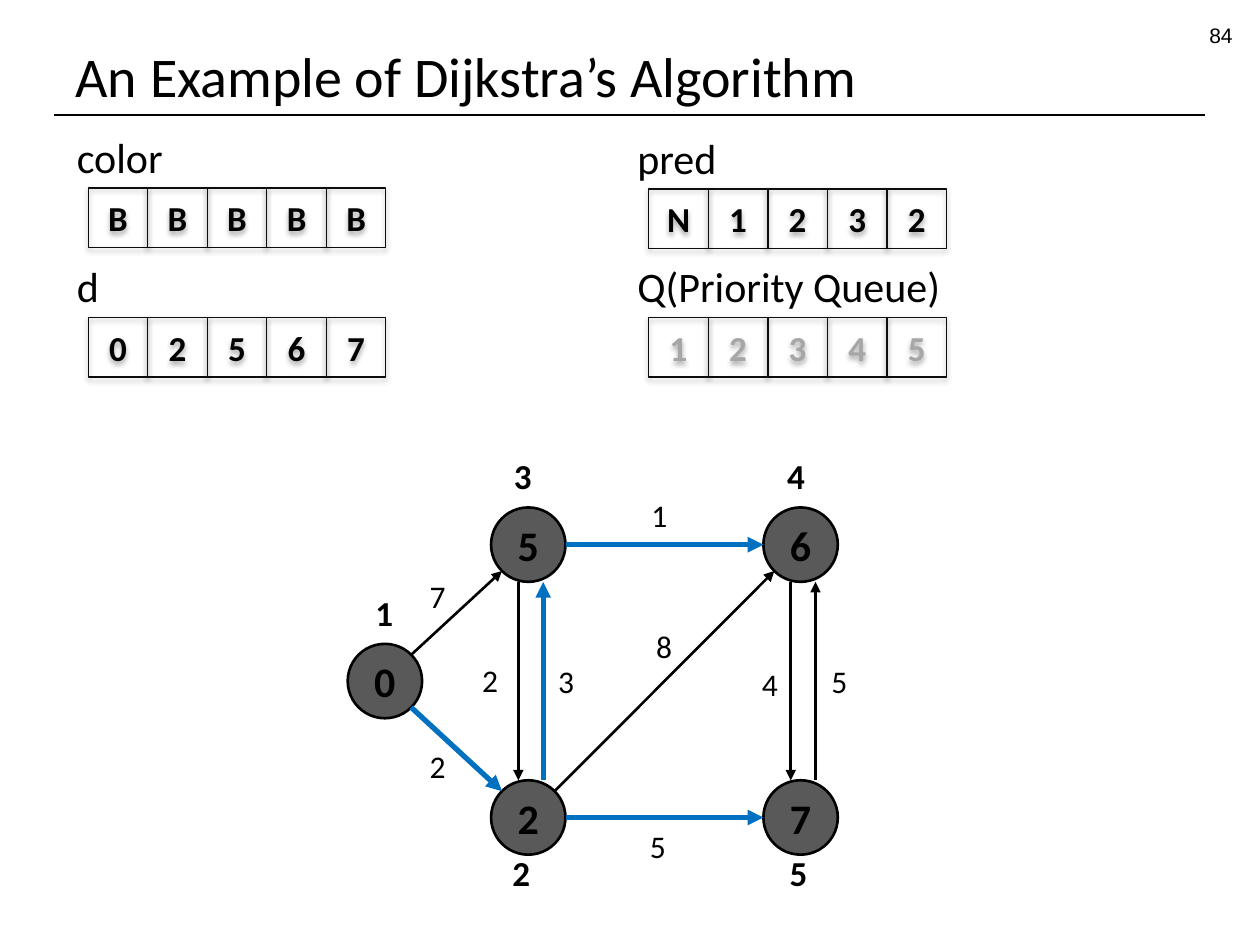
from lxml import etree
from pptx import Presentation
from pptx.dml.color import RGBColor
from pptx.enum import shapes, text
from pptx.oxml.ns import qn
from pptx.util import Cm, Pt

BLACK, NEAR_BLACK, GREY, DARK, BLUE = "000000", "0D0D0D", "A6A6A6", "595959", "0070C0"

TITLE = "An Example of Dijkstra’s Algorithm"
PAGE = "84"

# label, label width, cell values, left and top of the first cell (cm), text colour
ARRAYS = [
    ("color", 2.27, "BBBBB", 1.78, 3.79, BLACK),
    ("d", 0.97, "02567", 1.78, 6.4, BLACK),
    ("pred", 2.14, "N1232", 13.08, 3.81, BLACK),
    ("Q(Priority Queue)", 6.68, "12345", 13.08, 6.4, GREY),
]
CELL = 1.2

# vertex: centre (cm), distance, left and top of its name
VERTICES = {
    "1": ((7.76, 13.73), "0", (7.32, 11.79)),
    "2": ((10.65, 16.48), "2", (10.08, 17.04)),
    "3": ((10.65, 10.98), "5", (10.11, 9.04)),
    "4": ((16.14, 10.98), "6", (15.62, 9.04)),
    "5": ((16.14, 16.48), "7", (15.67, 17.04)),
}
RADIUS = 0.75

# where an edge meets a vertex, as an offset from its centre (cm)
PORTS = {
    "E": (RADIUS, 0), "W": (-RADIUS, 0),
    "NE": (0.53, -0.53), "NW": (-0.53, -0.53),
    "SE": (0.53, 0.53), "SW": (-0.53, 0.53),
    "N left": (-0.2, -RADIUS), "N right": (0.3, -RADIUS),
    "S left": (-0.2, RADIUS), "S right": (0.3, RADIUS),
}

# from, port, to, port, weight, left and top of the weight, in shortest-path tree
EDGES = [
    ("1", "NE", "3", "SW", "7", (8.41, 11.51), False),
    ("1", "SE", "2", "NW", "2", (8.41, 14.94), True),
    ("3", "E", "4", "W", "1", (12.88, 9.88), True),
    ("4", "S left", "5", "N left", "4", (15.11, 13.28), False),
    ("5", "N right", "4", "S right", "5", (16.51, 13.23), False),
    ("2", "NE", "4", "SW", "8", (12.98, 12.52), False),
    ("2", "E", "5", "W", "5", (12.85, 16.54), True),
    ("3", "S left", "2", "N left", "2", (9.47, 13.21), False),
    ("2", "N right", "3", "S right", "3", (11.0, 13.23), True),
]


def rgb(value):
    return RGBColor.from_string(value)


def write(frame, words, size, color=BLACK, bold=False, align=None, font="Calibri"):
    frame.text = words
    paragraph = frame.paragraphs[0]
    paragraph.alignment = align
    style = paragraph.runs[0].font
    style.name, style.size, style.bold = font, Pt(size), bold
    style.color.rgb = rgb(color)


def add_label(slide, words, left, top, width, height, size, bold=False):
    frame = slide.shapes.add_textbox(Cm(left), Cm(top), Cm(width), Cm(height)).text_frame
    frame.word_wrap = False
    frame.auto_size = text.MSO_AUTO_SIZE.SHAPE_TO_FIT_TEXT
    write(frame, words, size, bold=bold)


def add_box(slide, kind, words, left, top, side, size, color, line, weight):
    """Add a square-framed shape with centred bold text and no shadow."""
    box = slide.shapes.add_shape(kind, Cm(left), Cm(top), Cm(side), Cm(side))
    box.shadow.inherit = False
    box.line.color.rgb = rgb(line)
    box.line.width = Pt(weight)
    box.text_frame.word_wrap = False
    box.text_frame.vertical_anchor = text.MSO_ANCHOR.MIDDLE
    write(box.text_frame, words, size, color, True, text.PP_ALIGN.CENTER)
    return box


def add_drop_shadow(shape):
    effects = shape.element.spPr.find(qn("a:effectLst"))
    shadow = etree.SubElement(effects, qn("a:outerShdw"), blurRad="40000",
                              dist="23000", dir="5400000", rotWithShape="0")
    tint = etree.SubElement(shadow, qn("a:srgbClr"), val=BLACK)
    etree.SubElement(tint, qn("a:alpha"), val="35000")


def add_line(slide, start, end, color, weight, arrow=False):
    line = slide.shapes.add_connector(
        shapes.MSO_CONNECTOR.STRAIGHT, *(Cm(value) for value in (*start, *end)))
    line.line.color.rgb = rgb(color)
    line.line.width = Pt(weight)
    properties = line.element.spPr
    if arrow:
        etree.SubElement(properties.find(qn("a:ln")), qn("a:tailEnd"), type="triangle")
    etree.SubElement(properties, qn("a:effectLst"))


def add_heading(slide):
    add_line(slide, (1.09, 2.32), (24.3, 2.32), BLACK, 0.75)
    title = slide.shapes.title
    title.left, title.top, title.width, title.height = Cm(1.27), Cm(0.33), Cm(22.86), Cm(1.98)
    title.text_frame.auto_size = text.MSO_AUTO_SIZE.NONE
    title.text_frame.vertical_anchor = text.MSO_ANCHOR.BOTTOM
    write(title.text_frame, TITLE, 32, align=text.PP_ALIGN.LEFT)
    page = slide.shapes.add_textbox(Cm(19.18), Cm(0.33), Cm(5.92), Cm(0.71)).text_frame
    page.word_wrap = True
    write(page, PAGE, 12, align=text.PP_ALIGN.RIGHT, font="Arial")


def add_arrays(slide):
    for name, width, values, left, top, color in ARRAYS:
        add_label(slide, name, left - 0.48, top - 1.27, width, 1.27, 24)
        for i, value in enumerate(values):
            cell = add_box(slide, shapes.MSO_SHAPE.RECTANGLE, value, left + i * CELL, top,
                           CELL, 20, color, NEAR_BLACK, 0.75)
            cell.fill.background()
            add_drop_shadow(cell)


def port_position(vertex, port):
    (x, y), (dx, dy) = VERTICES[vertex][0], PORTS[port]
    return x + dx, y + dy


def add_graph(slide):
    for name, ((x, y), distance, place) in VERTICES.items():
        circle = add_box(slide, shapes.MSO_SHAPE.OVAL, distance, x - RADIUS, y - RADIUS,
                         2 * RADIUS, 24, BLACK, BLACK, 1.5)
        circle.fill.solid()
        circle.fill.fore_color.rgb = rgb(DARK)
        add_label(slide, name, *place, 0.86, 1.12, 20, bold=True)
    for source, out, target, into, weight, place, in_tree in EDGES:
        color, width = (BLUE, 3) if in_tree else (BLACK, 1.5)
        add_line(slide, port_position(source, out), port_position(target, into),
                 color, width, arrow=True)
        add_label(slide, weight, *place, 0.84, 1.02, 18)


def main():
    deck = Presentation()
    deck.slide_width, deck.slide_height = Cm(25.4), Cm(19.05)
    slide = deck.slides.add_slide(deck.slide_layouts[5])
    add_heading(slide)
    add_arrays(slide)
    add_graph(slide)
    deck.save("out.pptx")


if __name__ == "__main__":
    main()
